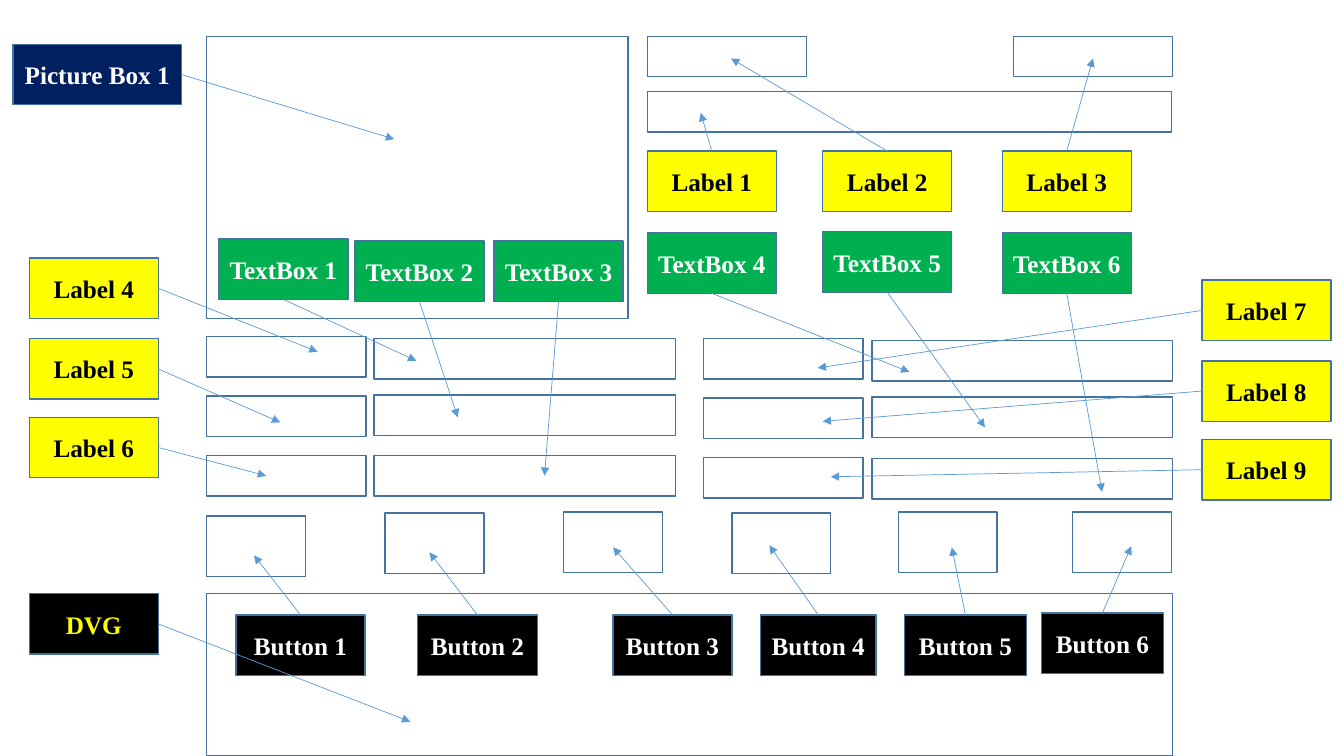
from lxml import etree
from pptx import Presentation
from pptx import util as u
from pptx.dml.color import RGBColor
from pptx.enum import shapes, text
from pptx.oxml.ns import qn

TOP, LEFT, BOTTOM, RIGHT = range(4)
BLACK, WHITE, YELLOW, GREEN, NAVY = "000000", "FFFFFF", "FFFF00", "00B050", "002060"


def rgb(value):
    return RGBColor.from_string(value)


class FormMap:
    font, size = "Times New Roman", 18
    outline, arrow_color = "43739E", "5B9BD5"
    tag_w, tag_h = 1.28, 0.6

    def __init__(self, slide):
        self.shapes = slide.shapes

    def box(self, x, y, w, h, fill=None):
        """Outlined rectangle, empty unless a fill is given."""
        sp = self.shapes.add_shape(shapes.MSO_SHAPE.RECTANGLE,
                                   *(u.Inches(v) for v in (x, y, w, h)))
        sp.shadow.inherit = False
        sp.line.color.rgb = rgb(self.outline)
        sp.line.width = u.Pt(1)
        if fill:
            sp.fill.solid()
            sp.fill.fore_color.rgb = rgb(fill)
        else:
            sp.fill.background()
        return sp

    def tag(self, name, x, y, fill, color, side, target, w=tag_w):
        """Coloured name tag with an arrow from one side to its control."""
        sp = self.box(x, y, w, self.tag_h, fill)
        tf = sp.text_frame
        tf.text = name
        tf.vertical_anchor = text.MSO_ANCHOR.MIDDLE
        p = tf.paragraphs[0]
        p.alignment = text.PP_ALIGN.CENTER
        r = p.runs[0]
        r.font.name = self.font
        r.font.size = u.Pt(self.size)
        r.font.bold = True
        r.font.color.rgb = rgb(color)
        self.arrow(sp, side, target)

    def arrow(self, sp, side, target):
        end = [u.Inches(v) for v in target]
        cn = self.shapes.add_connector(shapes.MSO_CONNECTOR.STRAIGHT,
                                       sp.left, sp.top, *end)
        cn.begin_connect(sp, side)
        cn.line.color.rgb = rgb(self.arrow_color)
        cn.line.width = u.Pt(0.5)
        ln = cn.line._get_or_add_ln()
        etree.SubElement(ln, qn("a:tailEnd"), type="triangle")
        etree.SubElement(cn._element.spPr, qn("a:effectLst"))


def main():
    prs = Presentation()
    prs.slide_width, prs.slide_height = u.Inches(13.33), u.Inches(7.5)
    form = FormMap(prs.slides.add_slide(prs.slide_layouts[6]))

    # Picture area, header fields and data grid
    form.box(2.05, 0.36, 4.18, 2.8)
    for x, y, w in [(6.42, 0.36, 1.58), (10.05, 0.36, 1.58), (6.42, 0.91, 5.2)]:
        form.box(x, y, w, 0.4)
    form.box(2.05, 5.89, 9.58, 1.61)

    # Four columns of three fields
    columns = [(2.05, 1.58, (3.34, 3.93, 4.52)), (3.71, 2.99, (3.36, 3.92, 4.52)),
               (6.98, 1.58, (3.36, 3.95, 4.54)), (8.65, 2.98, (3.38, 3.94, 4.55))]
    for x, w, tops in columns:
        for y in tops:
            form.box(x, y, w, 0.4)

    # Button outlines
    for x, y in [(2.05, 5.12), (3.82, 5.09), (5.59, 5.08),
                 (7.26, 5.09), (8.91, 5.08), (10.64, 5.08)]:
        form.box(x, y, 0.98, 0.6)

    # Button tags: left, top, width, arrow target
    buttons = [(2.34, 6.1, 1.28, (2.52, 5.51)), (4.14, 6.1, 1.19, (4.26, 5.48)),
               (6.08, 6.1, 1.18, (6.08, 5.43)), (7.54, 6.1, 1.15, (7.63, 5.41)),
               (8.97, 6.1, 1.21, (9.44, 5.43)), (10.33, 6.08, 1.21, (11.22, 5.42))]
    for i, (x, y, w, target) in enumerate(buttons, 1):
        form.tag(f"Button {i}", x, y, BLACK, WHITE, TOP, target, w)

    # Grid tag
    form.tag("DVG", 0.29, 5.89, BLACK, YELLOW, RIGHT, (4.07, 7.16))

    # Label tags: left, top, arrow side, arrow target
    labels = [(6.42, 1.5, TOP, (6.95, 1.12)), (8.16, 1.5, TOP, (7.25, 0.58)),
              (9.94, 1.5, TOP, (10.84, 0.58)), (0.29, 2.56, RIGHT, (3.15, 3.49)),
              (0.29, 3.36, RIGHT, (2.78, 4.19)), (0.29, 4.14, RIGHT, (2.64, 4.72)),
              (11.92, 2.78, LEFT, (8.11, 3.65)), (11.92, 3.58, LEFT, (8.16, 4.18)),
              (11.92, 4.36, LEFT, (8.24, 4.73))]
    for i, (x, y, side, target) in enumerate(labels, 1):
        form.tag(f"Label {i}", x, y, YELLOW, BLACK, side, target)

    # Text box tags: left, top, arrow target
    textboxes = [(2.17, 2.37, (4.13, 3.58)), (3.52, 2.39, (4.54, 4.14)),
                 (4.9, 2.39, (5.4, 4.72)), (6.42, 2.31, (9.02, 3.69)),
                 (8.16, 2.3, (9.77, 4.24)), (9.94, 2.31, (10.93, 4.88))]
    for i, (x, y, target) in enumerate(textboxes, 1):
        form.tag(f"TextBox {i}", x, y, GREEN, WHITE, BOTTOM, target)

    # Picture tag
    form.tag("Picture Box 1", 0.13, 0.44, NAVY, WHITE, RIGHT, (3.91, 1.38), 1.67)

    prs.save("out.pptx")


if __name__ == "__main__":
    main()
